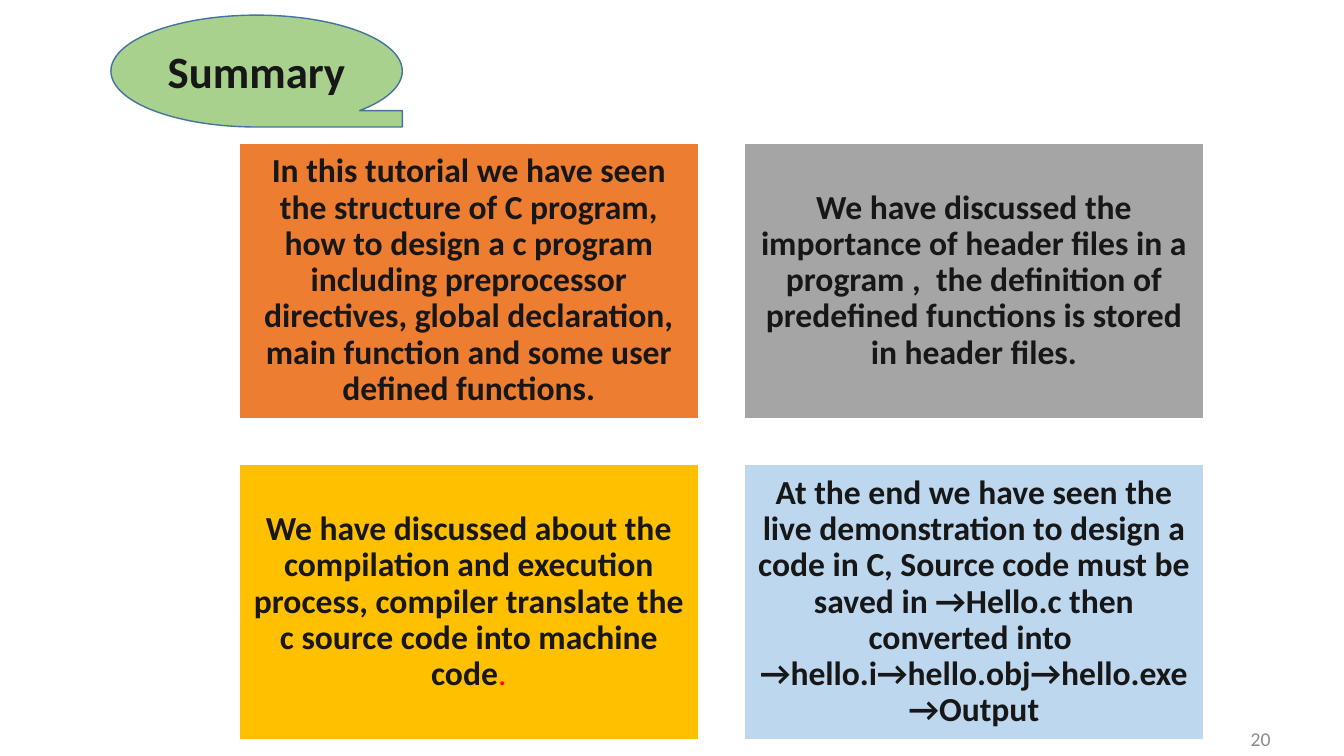
from dataclasses import dataclass

from pptx import Presentation
from pptx.dml.color import RGBColor
from pptx.enum.shapes import MSO_SHAPE as Shape
from pptx.enum.text import MSO_ANCHOR as Anchor, PP_ALIGN as Align
from pptx.util import Inches, Pt


@dataclass(frozen=True)
class Theme:
    font: str = "Calibri"
    ink: str = "181717"
    number: str = "8C8C8C"
    accent: str = "FF0000"
    white: str = "FFFFFF"
    bubble: str = "A9D18E"
    bubble_line: str = "43739E"
    orange: str = "ED7D31"
    grey: str = "A5A5A5"
    gold: str = "FFC000"
    sky: str = "BDD7EE"
    title_size: int = 32
    card_size: int = 24
    number_size: int = 14


theme = Theme()


def add_panel(kind, left, top, width, height, fill, line):
    panel = page.shapes.add_shape(
        kind, Inches(left), Inches(top), Inches(width), Inches(height))
    panel.shadow.inherit = False
    panel.fill.solid()
    panel.fill.fore_color.rgb = RGBColor.from_string(fill)
    panel.line.color.rgb = RGBColor.from_string(line)
    panel.line.width = Pt(1)
    return panel


def write(box, spans, size, align=Align.CENTER, spacing=None):
    """Fill a box with one paragraph of (text, colour, bold) spans."""
    frame = box.text_frame
    frame.word_wrap = True
    frame.vertical_anchor = Anchor.MIDDLE
    para = frame.paragraphs[0]
    para.alignment = align
    para.line_spacing = spacing
    for text, colour, bold in spans:
        span = para.add_run()
        span.text = text
        for name, value in {"name": theme.font, "size": Pt(size), "bold": bold}.items():
            setattr(span.font, name, value)
        span.font.color.rgb = RGBColor.from_string(colour)
    return frame


deck = Presentation()
deck.slide_width, deck.slide_height = Inches(13.33), Inches(7.5)
page = deck.slides.add_slide(deck.slide_layouts[6])

# Page number
number_box = page.shapes.add_textbox(
    Inches(10.46), Inches(7.3), Inches(2.24), Inches(0.05))
write(number_box, [("20", theme.number, False)], theme.number_size, Align.RIGHT)

# Title bubble
bubble = add_panel(Shape.FLOWCHART_SEQUENTIAL_ACCESS_STORAGE,
                   1.1, 0.15, 2.89, 1.11, theme.bubble, theme.bubble_line)
write(bubble, [("Summary", theme.ink, True)], theme.title_size)

# Summary cards, two by two
cards = [
    (theme.orange, "In this tutorial we have seen the structure of C program, "
     "how to design a c program including preprocessor directives, global "
     "declaration, main function and some user defined functions.", ""),
    (theme.grey, "We have discussed the importance of header files in a program ,  "
     "the definition of predefined functions is stored in header files.", ""),
    (theme.gold, "We have discussed about the compilation and execution process, "
     "compiler translate the c source code into machine code", "."),
    (theme.sky, "At the end we have seen the live demonstration to design a code "
     "in C, Source code must be saved in →Hello.c then converted into  "
     "→hello.i→hello.obj→hello.exe→Output", ""),
]
card_width, card_height = 4.56, 2.73
column_step, row_step = 5.01, 3.19
for index, (fill, text, ending) in enumerate(cards):
    row, column = divmod(index, 2)
    card = add_panel(Shape.RECTANGLE, 2.37 + column * column_step,
                     1.42 + row * row_step, card_width, card_height,
                     fill, theme.white)
    spans = [(text, theme.ink, True)]
    if ending:
        spans.append((ending, theme.accent, False))
    frame = write(card, spans, theme.card_size, spacing=0.9)
    for side in ("left", "top", "right", "bottom"):
        setattr(frame, f"margin_{side}", Inches(0.1))

deck.save("out.pptx")
